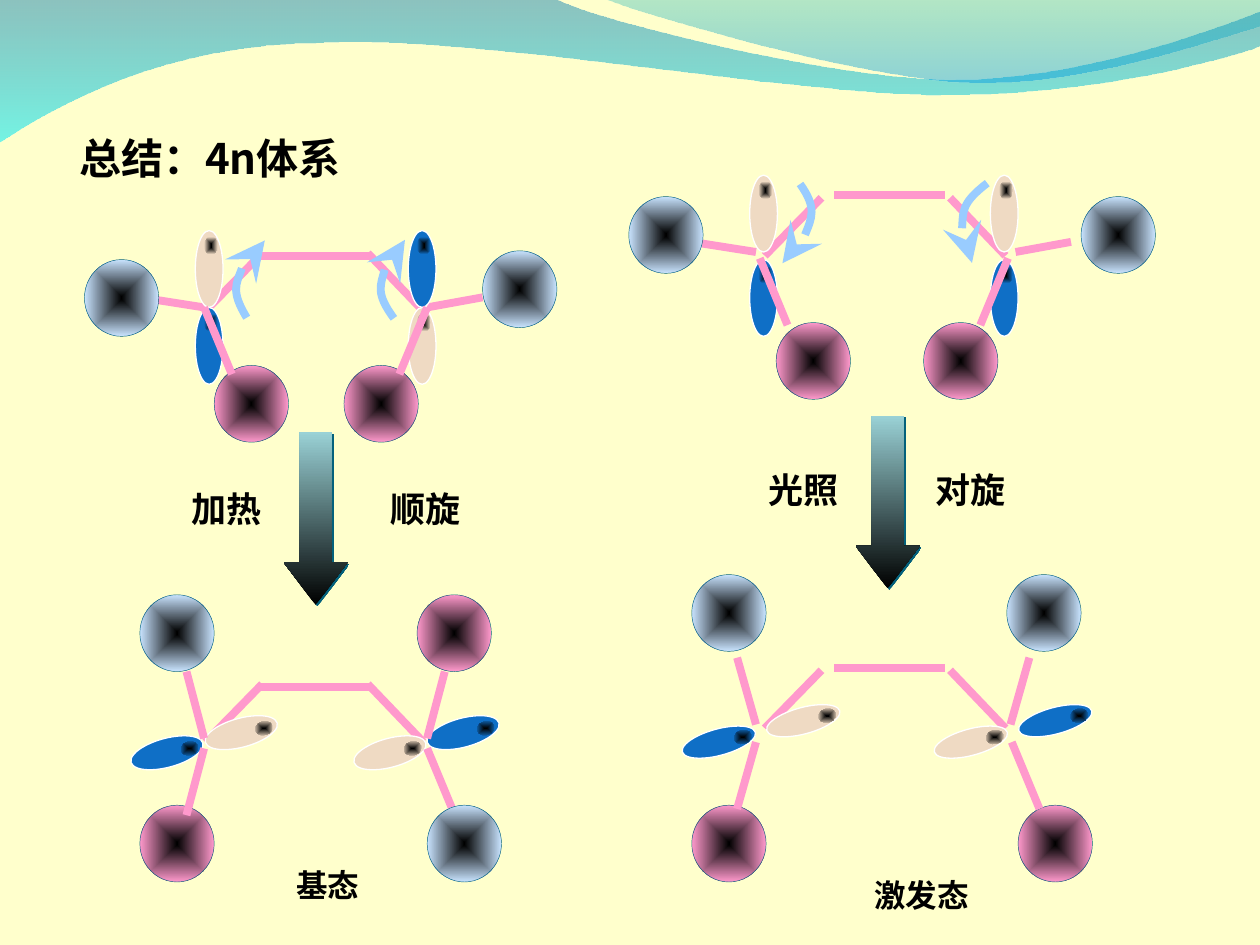
"""Build a slide that sums up conrotatory and disrotatory closure of 4n systems."""
from lxml.etree import SubElement
from pptx import Presentation
from pptx.dml.color import RGBColor
from pptx.enum.shapes import MSO_CONNECTOR, MSO_SHAPE
from pptx.enum.text import MSO_ANCHOR, PP_ALIGN
from pptx.oxml import parse_xml
from pptx.oxml.ns import qn
from pptx.util import Inches, Pt

HUES = {
    "paper": "FFFFCC", "ink": "000000", "white": "FFFFFF", "edge": "04617B",
    "pink": "FF99CC", "sky": "C9E4FF", "sand": "EFDAC3", "blue": "0F6FC6",
    "arc": "99CCFF", "teal": "9AD2D6", "deep": "0079AF", "aqua": "00EBF8",
    "sea": "00ADB6", "azure": "009BE5",
}
NS = 'xmlns:a="http://schemas.openxmlformats.org/drawingml/2006/main"'
CORE = ('<a:path path="rect"><a:fillToRect l="50000" t="50000" '
        'r="50000" b="50000"/></a:path>')


def rgb(name):
    """Return the colour with this name."""
    return RGBColor.from_string(HUES[name])


def blend(shape, stops, mode):
    """Fill a shape with a gradient of (colour, opacity) stops."""
    shape.fill.gradient()
    marks = ""
    for i, (hue, part) in enumerate(stops):
        alpha = f'<a:alpha val="{part * 1000}"/>' if part < 100 else ""
        marks += (f'<a:gs pos="{i * 100000}"><a:srgbClr val="{HUES[hue]}">'
                  f'{alpha}</a:srgbClr></a:gs>')
    props = shape._element.spPr
    props.replace(props.find(qn("a:gradFill")), parse_xml(
        f'<a:gradFill {NS}><a:gsLst>{marks}</a:gsLst>{mode}</a:gradFill>'))


def slope(angle):
    """Return the XML of a linear gradient direction."""
    return f'<a:lin ang="{angle * 60000}" scaled="0"/>'


def stroke(shape, hue, width):
    """Set the outline of a shape."""
    shape.line.color.rgb = rgb(hue)
    shape.line.width = Pt(width)


def oval(slide, x, y, w, h, turn=0):
    """Add a bare ellipse."""
    shape = slide.shapes.add_shape(
        MSO_SHAPE.OVAL, Inches(x), Inches(y), Inches(w), Inches(h))
    shape.shadow.inherit = False
    shape.rotation = turn
    return shape


def ball(slide, x, y, hue):
    """Add a substituent with a dark core."""
    shape = oval(slide, x, y, 0.59, 0.61)
    blend(shape, [("ink", 100), (hue, 100)], CORE)
    stroke(shape, "edge", 0.25)


def lobe(slide, x, y, hue, size, turn):
    """Add an orbital lobe and the dark spot near its tip."""
    shape = oval(slide, x, y, *size, turn)
    shape.fill.solid()
    shape.fill.fore_color.rgb = rgb(hue)
    stroke(shape, "white", 0.75)
    dx, dy = (0.24, 0.19) if turn else (0.07, 0.05)
    spot = oval(slide, x + dx, y + dy, 0.11, 0.14, turn)
    blend(spot, [("ink", 100), (hue, 100)], CORE)
    spot.line.fill.background()


def bond(slide, x1, y1, x2, y2):
    """Add a thick bond line."""
    line = slide.shapes.add_connector(
        MSO_CONNECTOR.STRAIGHT, Inches(x1), Inches(y1), Inches(x2), Inches(y2))
    stroke(line, "pink", 4.5)
    SubElement(line._element.spPr, qn("a:effectLst"))


def trace(slide, start, parts, close):
    """Add an outline of straight (1 point) and curved (3 points) parts."""
    spots = [(Inches(x), Inches(y)) for part in parts for x, y in part]
    pen = slide.shapes.build_freeform(*map(Inches, start), scale=1.0)
    pen.add_line_segments(spots, close=close)
    shape = pen.convert_to_shape()
    shape.shadow.inherit = False
    legs = iter(list(shape._element.spPr.iter(qn("a:lnTo"))))
    for part in parts:
        group = [next(legs) for _ in part]
        if len(group) == 3:
            curve = parse_xml(f'<a:cubicBezTo {NS}/>')
            group[0].addprevious(curve)
            for leg in group:
                curve.append(leg[0])
                leg.getparent().remove(leg)
    return shape


def wave(slide, start, parts, stops):
    """Add a see-through band at the top."""
    shape = trace(slide, start, parts, True)
    blend(shape, stops, slope(90))
    shape.line.fill.background()


def spin(slide, x, y, w, h, turn, flip=False):
    """Add a turned quarter arc whose head is at its start."""
    near, far, side = (x + w, x, -1) if flip else (x, x + w, 1)
    bulge = [(near + side * 0.55 * w, y + h), (far, y + 0.55 * h), (far, y)]
    shape = trace(slide, (near, y + h), [bulge], False)
    shape.rotation = turn
    shape.fill.background()
    stroke(shape, "arc", 4.5)
    head = SubElement(shape.line._get_or_add_ln(), qn("a:headEnd"))
    for key, value in (("type", "stealth"), ("w", "lg"), ("len", "lg")):
        head.set(key, value)


def arrow(slide, x, y):
    """Add a shaded reaction arrow with a hard shadow."""
    shape = slide.shapes.add_shape(
        MSO_SHAPE.DOWN_ARROW, Inches(x), Inches(y), Inches(0.51), Inches(1.37))
    shape.adjustments[0], shape.adjustments[1] = 0.5, 0.66
    blend(shape, [("ink", 100), ("teal", 100)], slope(270))
    shape.line.fill.background()
    shape.shadow.inherit = False
    cast = shape._element.spPr.find(qn("a:effectLst"))
    cast.append(parse_xml(
        f'<a:outerShdw {NS} blurRad="0" dist="{Pt(1.4)}" dir="2700000" '
        f'algn="ctr" rotWithShape="0"><a:srgbClr val="{HUES["edge"]}"/>'
        '</a:outerShdw>'))


def label(slide, text, x, y, w, h, size, font="Arial", foot=False):
    """Add a bold label, centred at the foot of its box if asked."""
    box = slide.shapes.add_textbox(Inches(x), Inches(y), Inches(w), Inches(h))
    frame = box.text_frame
    frame.word_wrap = not foot
    para = frame.paragraphs[0]
    if foot:
        frame.vertical_anchor = MSO_ANCHOR.BOTTOM
        para.alignment = PP_ALIGN.CENTER
    run = para.add_run()
    run.text = text
    run.font.name, run.font.size, run.font.bold = font, Pt(size), True
    run.font.color.rgb = rgb("ink")


def model(slide, pinks, skies, back, lobes, front,
          spins=(), size=(0.22, 0.61), turn=0):
    """Add one molecule from back to front."""
    for spot in pinks:
        ball(slide, *spot, "pink")
    for item in back:
        bond(slide, *item)
    for item in lobes:
        lobe(slide, *item, size, turn)
    for item in spins:
        spin(slide, *item)
    for item in front:
        bond(slide, *item)
    for spot in skies:
        ball(slide, *spot, "sky")


def chain(x, y, rise, gap):
    """Return the three bonds of the carbon chain."""
    return [(x, y, x + 0.88, y),
            (x + 0.02 - gap, y + rise, x - 0.43 - gap, y + rise + 0.46),
            (x + 0.86 + gap / 2, y + rise, x + 1.3 + gap / 2, y + rise + 0.46)]


def main():
    """Build and save the slide."""
    deck = Presentation()
    deck.slide_width, deck.slide_height = Inches(10), Inches(7.5)
    slide = deck.slides.add_slide(deck.slide_layouts[6])
    slide.background.fill.solid()
    slide.background.fill.fore_color.rgb = rgb("paper")

    wave(slide, (0, -0.01), [
        [(4.4, -0.01)], [(4.76, 0.17), (6.64, 0.63), (7.58, 0.63)],
        [(8.53, 0.63), (9.58, 0.26), (10, 0.09)], [(10.01, 0.36)],
        [(9.83, 0.44), (8.7, 0.76), (7.46, 0.75)],
        [(6.22, 0.75), (3.82, 0.28), (2.57, 0.34)],
        [(1.29, 0.35), (0.46, 0.83), (-0.01, 1.13)]],
        [("deep", 45), ("aqua", 55)])
    wave(slide, (4.79, -0.01), [
        [(5.09, 0.11), (6.82, 0.62), (7.69, 0.65)],
        [(8.56, 0.69), (9.61, 0.32), (10, 0.21)], [(10, 0)]],
        [("sea", 30), ("azure", 45)])

    label(slide, "总结：4n体系", 0.53, 1, 2.63, 0.5, 24, "Noto Sans CJK SC")
    arrow(slide, 2.25, 3.43)
    arrow(slide, 6.79, 3.3)

    model(slide,
          [(1.7, 2.9), (2.73, 2.9)], [(0.67, 2.06), (3.83, 1.99)],
          [(1.62, 2.44, 1.11, 2.36), (3.39, 2.44, 3.83, 2.36),
           *chain(2.06, 2.03, -0.02, 0)],
          [(1.55, 1.83, "sand"), (3.24, 1.83, "blue"),
           (1.55, 2.44, "blue"), (3.24, 2.44, "sand")],
          [(1.62, 2.44, 1.84, 2.97), (3.39, 2.44, 3.17, 2.97)],
          [(1.81, 1.99, 0.44, 0.45, 148.8), (2.95, 1.99, 0.44, 0.45, 143.6)])
    model(slide,
          [(1.11, 6.39), (3.31, 4.72)], [(1.11, 4.72), (3.39, 6.39)],
          chain(2.06, 5.45, -0.02, 0),
          [(1.8, 5.52, "sand"), (1.21, 5.68, "blue"),
           (3.56, 5.52, "blue"), (2.98, 5.68, "sand")],
          [(1.48, 6.47, 1.62, 5.94), (3.39, 5.94, 3.61, 6.47),
           (1.48, 5.33, 1.62, 5.86), (3.53, 5.33, 3.39, 5.86)],
          size=(0.23, 0.59), turn=75)
    model(slide,
          [(6.16, 2.56), (7.33, 2.56)], [(4.99, 1.56), (8.58, 1.56)],
          [(6, 2, 5.49, 1.92), (8.06, 2, 8.5, 1.92),
           *chain(6.62, 1.55, 0.02, 0.12)],
          [(7.86, 1.39, "sand"), (5.95, 1.39, "sand"),
           (7.86, 2.06, "blue"), (5.95, 2.06, "blue")],
          [(6.03, 2.05, 6.25, 2.58), (8, 2.05, 7.78, 2.58)],
          [(6.04, 1.56, 0.48, 0.43, 324.4),
           (7.56, 1.53, 0.43, 0.48, 52.7, True)])
    model(slide,
          [(5.49, 6.39), (8.08, 6.39)], [(5.49, 4.56), (7.99, 4.56)],
          chain(6.62, 5.3, 0.02, 0.12),
          [(6.27, 5.42, "sand"), (5.6, 5.59, "blue"),
           (8.27, 5.42, "blue"), (7.6, 5.59, "sand")],
          [(5.85, 6.42, 6, 5.89), (8.03, 5.89, 8.25, 6.42),
           (5.85, 5.22, 6, 5.75), (8.17, 5.22, 8.02, 5.75)],
          size=(0.21, 0.6), turn=75)

    for text, x, y, w in (("加热", 1.42, 3.82, 0.83), ("顺旋", 3, 3.82, 1.08),
                          ("光照", 6, 3.67, 0.83), ("对旋", 7.33, 3.67, 1.08)):
        label(slide, text, x, y, w, 0.44, 20)
    label(slide, "基态", 2.25, 6.52, 0.7, 0.7, 18, foot=True)
    label(slide, "激发态", 6.84, 6.6, 0.95, 0.7, 18, foot=True)
    deck.save("out.pptx")


if __name__ == "__main__":
    main()
